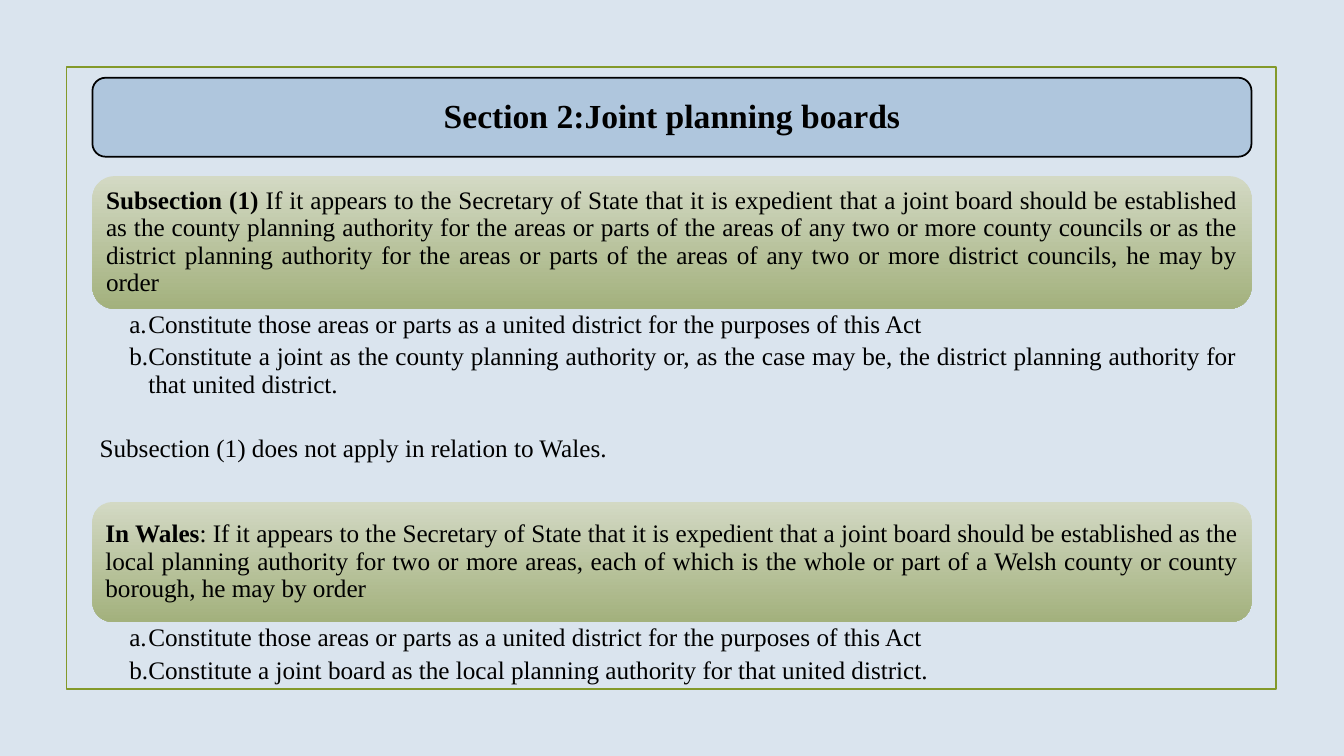
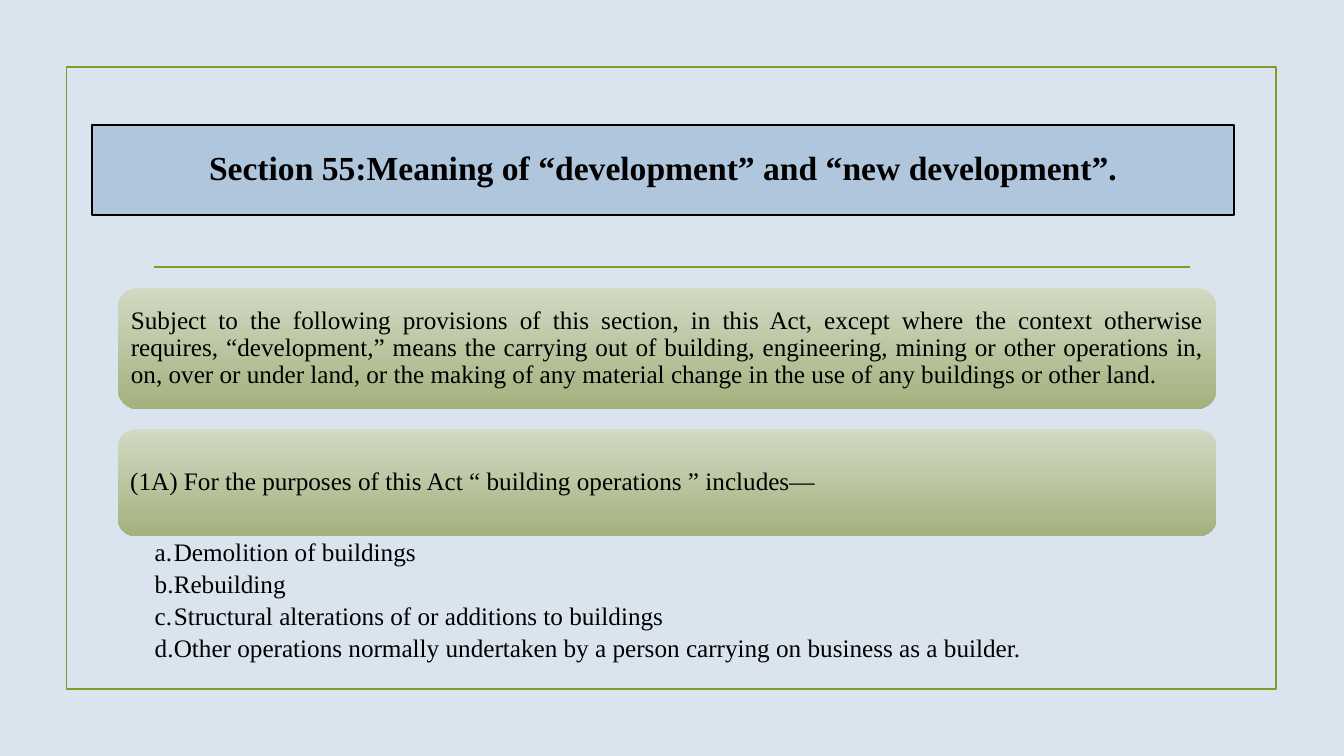
"""Build two slides on planning law sections with shared frame, titles and panels."""
from dataclasses import dataclass

from lxml import etree
from pptx import Presentation
from pptx.dml.color import RGBColor
from pptx.enum.shapes import MSO_CONNECTOR, MSO_SHAPE
from pptx.enum.text import MSO_ANCHOR, PP_ALIGN
from pptx.oxml.ns import qn
from pptx.util import Cm, Pt

RECT, ROUNDED = MSO_SHAPE.RECTANGLE, MSO_SHAPE.ROUNDED_RECTANGLE
STRAIGHT = MSO_CONNECTOR.STRAIGHT
TOP, MIDDLE = MSO_ANCHOR.TOP, MSO_ANCHOR.MIDDLE
CENTER, JUSTIFY = PP_ALIGN.CENTER, PP_ALIGN.JUSTIFY

COLORS = {
    "background": "DAE4EE",
    "title": "AFC6DD",
    "frame": "83992A",
    "ink": "000000",
    "panel_top": "D3D9C4",
    "panel_bottom": "A3B17D",
}
FONT = "Times New Roman"
BODY_SIZE, TITLE_SIZE = 18, 24
LINE_WIDTH = Pt(1.25)
HANGING = Cm(0.48)
PANEL_INSETS = (0.18, 0.18, 0.18, 0.18)
LIST_INSETS = (0.93, 0.08, 0.36, 0.08)


@dataclass(frozen=True)
class Box:
    left: float
    top: float
    width: float
    height: float


@dataclass(frozen=True)
class Panel:
    top: float
    height: float
    body: str
    lead: str = ""
    items: tuple[str, ...] = ()
    list_height: float = 2.71
    filled: bool = True


@dataclass(frozen=True)
class Section:
    title: str
    title_shape: int
    title_box: Box
    left: float
    width: float
    panels: tuple[Panel, ...]
    has_rule: bool = False


FRAME = Box(1.68, 1.69, 30.48, 15.67)
RULE_LEFT, RULE_RIGHT, RULE_TOP = 3.89, 30, 6.73

SECTIONS = (
    Section(
        "Section 2:Joint planning boards", ROUNDED, Box(2.33, 1.96, 29.21, 1.99), 2.33, 29.21,
        (
            Panel(
                4.44, 3.34,
                "If it appears to the Secretary of State that it is expedient that a joint board "
                "should be established as the county planning authority for the areas or parts of "
                "the areas of any two or more county councils or as the district planning "
                "authority for the areas or parts of the areas of any two or more district "
                "councils, he may by order",
                lead="Subsection (1) ",
                items=(
                    "Constitute those areas or parts as a united district for the purposes of "
                    "this Act",
                    "Constitute a joint as the county planning authority or, as the case may be, "
                    "the district planning authority for that united district.",
                ),
            ),
            Panel(10.57, 1.52, "Subsection (1) does not apply in relation to Wales.", filled=False),
            Panel(
                12.65, 3.02,
                ": If it appears to the Secretary of State that it is expedient that a joint board "
                "should be established as the local planning authority for two or more areas, "
                "each of which is the whole or part of a Welsh county or county borough, he may "
                "by order",
                lead="In Wales",
                items=(
                    "Constitute those areas or parts as a united district for the purposes of "
                    "this Act",
                    "Constitute a joint board as the local planning authority for that united "
                    "district.",
                ),
            ),
        ),
    ),
    Section(
        "Section 55:Meaning of “development” and “new development”.", RECT,
        Box(2.32, 3.15, 28.78, 2.27), 2.97, 27.69,
        (
            Panel(
                7.25, 3.06,
                "Subject to the following provisions of this section, in this Act, except where "
                "the context otherwise requires, “development,” means the carrying out of "
                "building, engineering, mining or other operations in, on, over or under land, or "
                "the making of any material change in the use of any buildings or other land.",
            ),
            Panel(
                10.82, 2.69,
                "(1A) For the purposes of this Act “ building operations ” includes—",
                items=(
                    "Demolition of buildings",
                    "Rebuilding",
                    "Structural alterations of or additions to buildings",
                    "Other operations normally undertaken by a person carrying on business as a "
                    "builder.",
                ),
                list_height=3.23,
            ),
        ),
        has_rule=True,
    ),
)


def rgb(name: str) -> RGBColor:
    return RGBColor.from_string(COLORS[name])


def lengths(box: Box) -> tuple[Cm, Cm, Cm, Cm]:
    return Cm(box.left), Cm(box.top), Cm(box.width), Cm(box.height)


def set_frame(tf, anchor, insets: tuple[float, ...]) -> None:
    tf.word_wrap = True
    tf.vertical_anchor = anchor
    tf.margin_left, tf.margin_top, tf.margin_right, tf.margin_bottom = map(Cm, insets)


def style_paragraph(p, align, size: int = BODY_SIZE, bold: bool = False) -> None:
    p.alignment = align
    p.line_spacing = 0.9
    for r in p.runs:
        r.font.name = FONT
        r.font.size = Pt(size)
        r.font.bold = bold
        r.font.color.rgb = rgb("ink")


def add_outlined(s, kind, box: Box, line: str, fill: str | None = None):
    sp = s.shapes.add_shape(kind, *lengths(box))
    sp.shadow.inherit = False
    if fill:
        sp.fill.solid()
        sp.fill.fore_color.rgb = rgb(fill)
    else:
        sp.fill.background()
    sp.line.color.rgb = rgb(line)
    sp.line.width = LINE_WIDTH
    return sp


def add_rule(s) -> None:
    y = Cm(RULE_TOP)
    rule = s.shapes.add_connector(STRAIGHT, Cm(RULE_LEFT), y, Cm(RULE_RIGHT), y)
    rule.line.color.rgb = rgb("frame")
    rule.line.width = LINE_WIDTH
    sp_pr = rule._element.find(qn("p:spPr"))
    etree.SubElement(sp_pr, qn("a:effectLst"))


def add_title(s, section: Section) -> None:
    sp = add_outlined(s, section.title_shape, section.title_box, "ink", "title")
    tf = sp.text_frame
    tf.text = section.title
    set_frame(tf, MIDDLE, PANEL_INSETS)
    style_paragraph(tf.paragraphs[0], CENTER, TITLE_SIZE, True)


def add_gradient_box(s, box: Box):
    sp = s.shapes.add_shape(ROUNDED, *lengths(box))
    sp.shadow.inherit = False
    sp.line.fill.background()
    sp.fill.gradient()
    sp.fill.gradient_angle = 270
    for stop, position, name in zip(sp.fill.gradient_stops, (0, 1), ("panel_top", "panel_bottom")):
        stop.position = position
        stop.color.rgb = rgb(name)
    return sp


def add_list(s, box: Box, items: tuple[str, ...]) -> None:
    tf = s.shapes.add_textbox(*lengths(box)).text_frame
    tf.text = "\n".join(items)
    set_frame(tf, TOP, LIST_INSETS)
    for p in tf.paragraphs:
        style_paragraph(p, JUSTIFY)
        p.space_after = Pt(3.6)
        p_pr = p._p.get_or_add_pPr()
        p_pr.set("marL", str(HANGING))
        p_pr.set("indent", str(-HANGING))
        etree.SubElement(p_pr, qn("a:buAutoNum"), type="alphaLcPeriod")


def add_panel(s, section: Section, panel: Panel) -> None:
    box = Box(section.left, panel.top, section.width, panel.height)
    sp = add_gradient_box(s, box) if panel.filled else s.shapes.add_textbox(*lengths(box))
    tf = sp.text_frame
    set_frame(tf, MIDDLE, PANEL_INSETS)
    p = tf.paragraphs[0]
    p.text = panel.lead or panel.body
    if panel.lead:
        p.add_run().text = panel.body
    style_paragraph(p, JUSTIFY)
    p.runs[0].font.bold = bool(panel.lead)
    if panel.items:
        bottom = panel.top + panel.height
        add_list(s, Box(section.left, bottom, section.width, panel.list_height), panel.items)


def add_section(prs, section: Section) -> None:
    s = prs.slides.add_slide(prs.slide_layouts[6])
    add_outlined(s, RECT, FRAME, "frame")
    if section.has_rule:
        add_rule(s)
    add_title(s, section)
    for panel in section.panels:
        add_panel(s, section, panel)


def main() -> None:
    prs = Presentation()
    prs.slide_width, prs.slide_height = Cm(33.87), Cm(19.05)
    fill = prs.slide_master.background.fill
    fill.solid()
    fill.fore_color.rgb = rgb("background")
    for section in SECTIONS:
        add_section(prs, section)
    prs.save("out.pptx")


if __name__ == "__main__":
    main()
